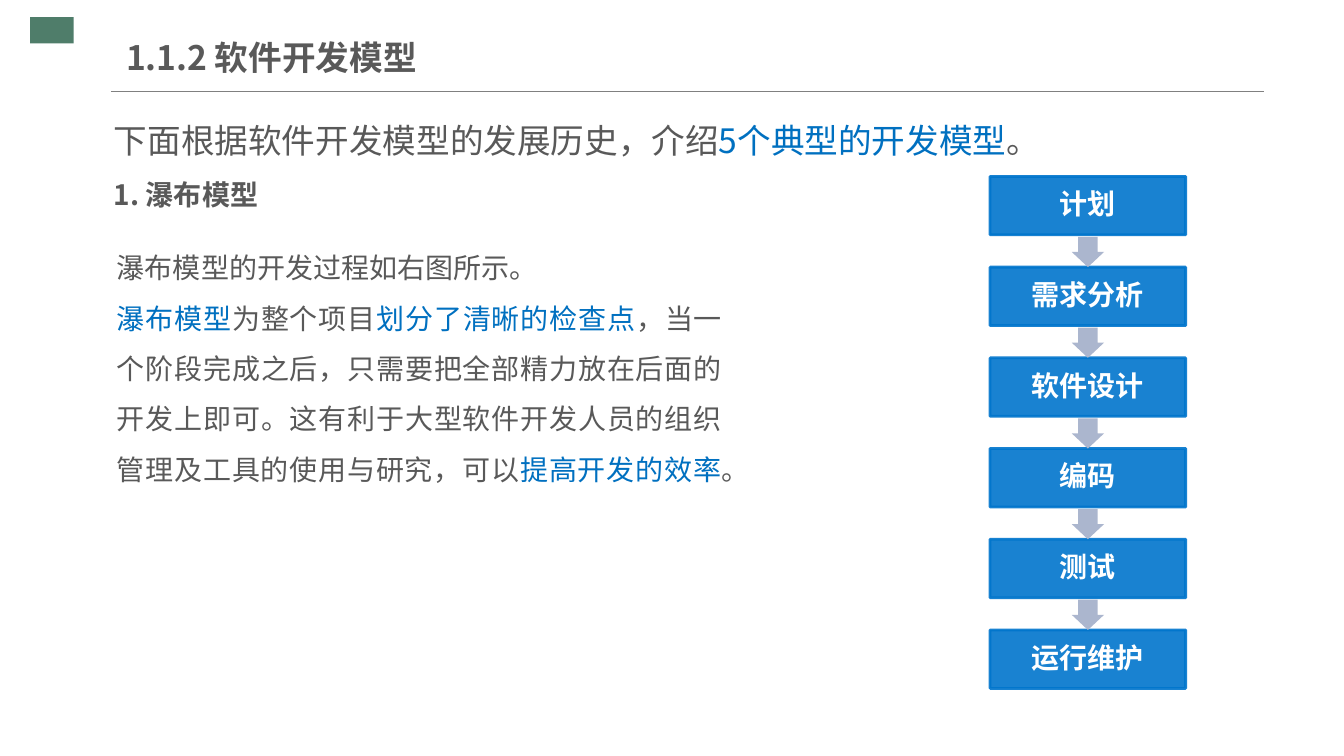
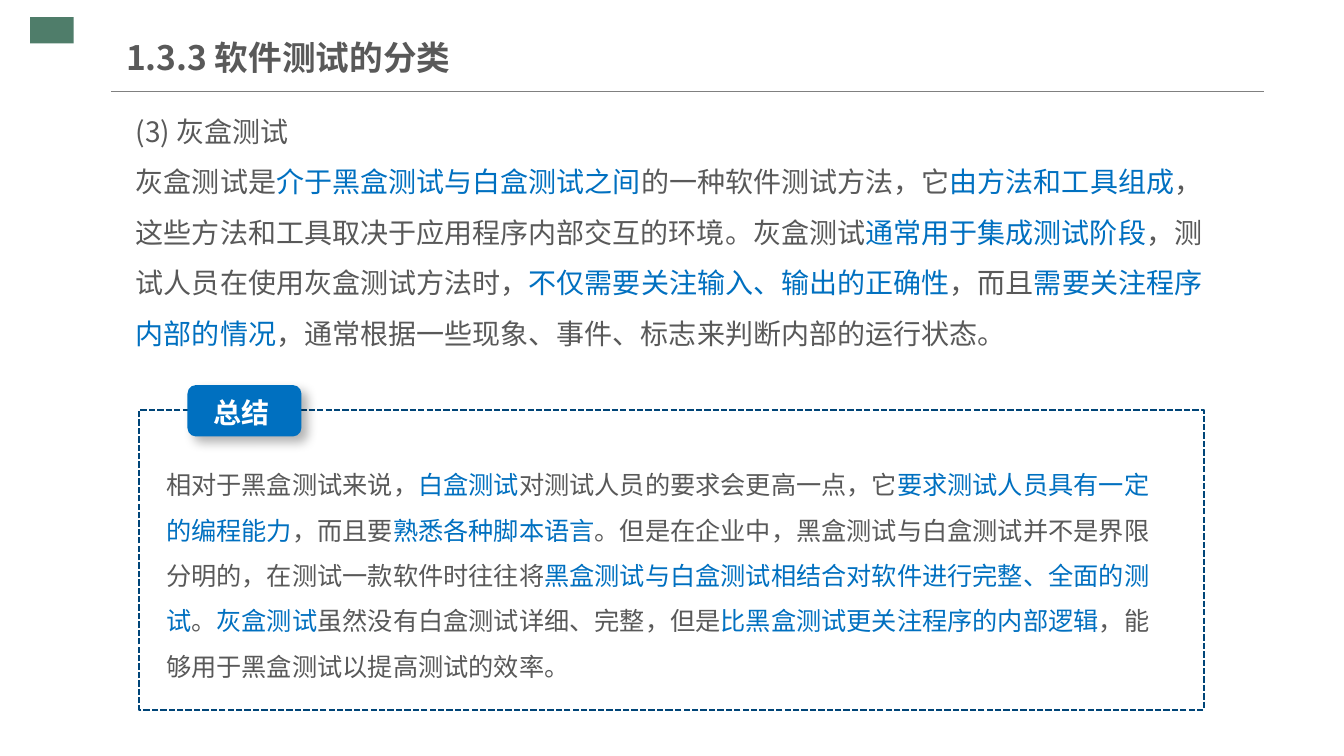
import pptx
import pptx.util
import pptx.dml.color
import pptx.enum.dml
import pptx.enum.shapes
import pptx.enum.text
import pptx.oxml
import pptx.oxml.ns
from dataclasses import dataclass
from lxml import etree

Inches = pptx.util.Inches
Pt = pptx.util.Pt
Shape = pptx.enum.shapes.MSO_SHAPE
Align = pptx.enum.text.PP_ALIGN
Anchor = pptx.enum.text.MSO_ANCHOR
qn = pptx.oxml.ns.qn


@dataclass(frozen=True)
class Theme:
    font: str = "Noto Sans CJK SC"
    text: str = "595959"
    accent: str = "0070C0"
    white: str = "FFFFFF"
    marker: str = "4F7D6A"
    rule: str = "808080"
    step: str = "0075CC"
    arrow: str = "ABB6CE"
    frame: str = "004578"
    heading: int = 24
    body: int = 20
    small: int = 18


THEME = Theme()
SLIDE_SIZE = (13.33, 7.5)

# Stretches between bars alternate between plain and highlighted text.
MODEL_TITLE = "1.1.2 软件开发模型"
MODEL_INTRO = "下面根据软件开发模型的发展历史，介绍|5个典型的开发模型|。"
MODEL_HEADING = "1. 瀑布模型"
MODEL_BODY = [
    "瀑布模型的开发过程如右图所示。",
    "|瀑布模型|为整个项目|划分了清晰的检查点|，当一个阶段完成之后，只需要把全部精力放在"
    "后面的开发上即可。这有利于大型软件开发人员的组织管理及工具的使用与研究，可以"
    "|提高开发的效率|。",
]
WATERFALL_STEPS = ["计划", "需求分析", "软件设计", "编码", "测试", "运行维护"]

TESTING_TITLE = "1.3.3 软件测试的分类"
TESTING_BODY = [
    "(3) 灰盒测试",
    "灰盒测试是|介于黑盒测试与白盒测试之间|的一种软件测试方法，它|由方法和工具组成|，"
    "这些方法和工具取决于应用程序内部交互的环境。灰盒测试|通常用于集成测试阶段|，"
    "测试人员在使用灰盒测试方法时，|不仅需要关注输入、输出的正确性|，而且"
    "|需要关注程序内部的情况|，通常根据一些现象、事件、标志来判断内部的运行状态。",
]
SUMMARY_LABEL = "总结"
SUMMARY = (
    "相对于黑盒测试来说，|白盒测试|对测试人员的要求会更高一点，它"
    "|要求测试人员具有一定的编程能力|，而且要|熟悉各种脚本语言|。但是在企业中，"
    "黑盒测试与白盒测试并不是界限分明的，在测试一款软件时往往将"
    "|黑盒测试与白盒测试相结合对软件进行完整、全面的测试|。|灰盒测试|虽然没有白盒测试"
    "详细、完整，但是|比黑盒测试更关注程序的内部逻辑|，能够用于黑盒测试以提高测试的效率。"
)


def rgb(color):
    return pptx.dml.color.RGBColor.from_string(color)


def inches(box):
    return [Inches(value) for value in box]


def write_paragraph(paragraph, text, size, color=THEME.text, bold=False,
                    align=Align.LEFT, spacing=1.5):
    paragraph.alignment = align
    paragraph.line_spacing = spacing
    for index, part in enumerate(text.split("|")):
        if not part:
            continue
        run = paragraph.add_run()
        run.text = part
        font = run.font
        font.name, font.size, font.bold = THEME.font, Pt(size), bold
        font.color.rgb = rgb(THEME.accent if index % 2 else color)
        east_asian = etree.SubElement(run._r.get_or_add_rPr(), qn("a:ea"))
        east_asian.set("typeface", THEME.font)


def set_frame(frame, insets, anchor=Anchor.TOP):
    """Insets are the horizontal and the vertical margin."""
    frame.word_wrap = True
    frame.auto_size = pptx.enum.text.MSO_AUTO_SIZE.NONE
    frame.vertical_anchor = anchor
    frame.margin_left = frame.margin_right = Inches(insets[0])
    frame.margin_top = frame.margin_bottom = Inches(insets[1])


def add_text(slide, box, paragraphs, insets=(0.1, 0.05)):
    """Each paragraph is a pair of its text and its formatting."""
    frame = slide.shapes.add_textbox(*inches(box)).text_frame
    set_frame(frame, insets)
    for index, (text, style) in enumerate(paragraphs):
        paragraph = frame.add_paragraph() if index else frame.paragraphs[0]
        write_paragraph(paragraph, text, **style)


def add_shape(slide, kind, box, fill=None, line=None, width=1):
    shape = slide.shapes.add_shape(kind, *inches(box))
    shape.shadow.inherit = False
    if fill:
        shape.fill.solid()
        shape.fill.fore_color.rgb = rgb(fill)
    else:
        shape.fill.background()
    if line:
        shape.line.color.rgb = rgb(line)
        shape.line.width = Pt(width)
    else:
        shape.line.fill.background()
    return shape


def set_opacity(shape, percent):
    for color in shape._element.spPr.iter(qn("a:srgbClr")):
        etree.SubElement(color, qn("a:alpha")).set("val", str(percent * 1000))


def add_soft_shadow(shape):
    effects = shape._element.spPr.find(qn("a:effectLst"))
    effects.append(pptx.oxml.parse_xml(
        f'<a:outerShdw {pptx.oxml.ns.nsdecls("a")} blurRad="{Pt(8)}" dist="{Pt(6)}" '
        'dir="2700000" algn="tl" rotWithShape="0">'
        '<a:srgbClr val="000000"><a:alpha val="30000"/></a:srgbClr></a:outerShdw>'))


def add_titled_slide(presentation, title_text):
    slide = presentation.slides.add_slide(presentation.slide_layouts[5])
    add_shape(slide, Shape.RECTANGLE, (0.3, 0.17, 0.43, 0.26), THEME.marker)
    rule = slide.shapes.add_connector(
        pptx.enum.shapes.MSO_CONNECTOR.STRAIGHT, *inches((1.1, 0.91, 12.54, 0.91)))
    rule.line.color.rgb = rgb(THEME.rule)
    rule.line.width = Pt(0.75)
    etree.SubElement(rule._element.spPr, qn("a:effectLst"))

    title = slide.shapes.title
    title.left, title.top, title.width, title.height = inches((1.25, 0.29, 4.26, 0.55))
    set_frame(title.text_frame, (0, 0.07), Anchor.MIDDLE)
    write_paragraph(title.text_frame.paragraphs[0], title_text, THEME.heading,
                    bold=True, spacing=1)
    return slide


def add_waterfall(slide, left=9.82, top=1.75, width=1.94, height=0.58, pitch=0.9):
    arrow_width, arrow_height = 0.32, 0.3
    for index, step in enumerate(WATERFALL_STEPS):
        step_top = top + index * pitch
        box = add_shape(slide, Shape.RECTANGLE, (left, step_top, width, height),
                        THEME.step, THEME.step, 2)
        set_opacity(box, 90)
        set_frame(box.text_frame, (0.21, 0.04), Anchor.MIDDLE)
        write_paragraph(box.text_frame.paragraphs[0], step, THEME.body, THEME.white,
                        bold=True, align=Align.CENTER, spacing=0.9)
        if index:
            arrow = add_shape(
                slide, Shape.DOWN_ARROW,
                (left + (width - arrow_width) / 2, step_top - arrow_height,
                 arrow_width, arrow_height), THEME.arrow)
            arrow.adjustments[0], arrow.adjustments[1] = 0.6, 0.5


def build_model_slide(presentation):
    slide = add_titled_slide(presentation, MODEL_TITLE)
    insets = (0.13, 0.07)
    body = dict(size=THEME.body, align=Align.JUSTIFY)
    add_text(slide, (1, 0.92, 11.42, 1.25), [
        (MODEL_INTRO, dict(size=THEME.heading, align=Align.JUSTIFY)),
        (MODEL_HEADING, dict(body, bold=True)),
    ], insets)
    add_waterfall(slide)
    add_text(slide, (1.03, 2.25, 6.26, 2.66), [(text, body) for text in MODEL_BODY], insets)


def build_testing_slide(presentation):
    slide = add_titled_slide(presentation, TESTING_TITLE)
    add_text(slide, (1.25, 0.92, 11, 2.69),
             [(text, dict(size=THEME.body)) for text in TESTING_BODY])
    frame = add_shape(slide, Shape.RECTANGLE, (1.38, 4.07, 10.56, 2.97),
                      line=THEME.frame, width=1.5)
    frame.line.dash_style = pptx.enum.dml.MSO_LINE.SQUARE_DOT
    badge = add_shape(slide, Shape.ROUNDED_RECTANGLE, (1.86, 3.82, 1.13, 0.51), THEME.accent)
    add_soft_shadow(badge)
    add_text(slide, (2.02, 3.71, 0.92, 0.6),
             [(SUMMARY_LABEL, dict(size=THEME.body, color=THEME.white, bold=True))])
    add_text(slide, (1.55, 4.46, 10.06, 2.37), [(SUMMARY, dict(size=THEME.small))])


def main():
    presentation = pptx.Presentation()
    presentation.slide_width, presentation.slide_height = inches(SLIDE_SIZE)
    build_model_slide(presentation)
    build_testing_slide(presentation)
    presentation.save("out.pptx")


if __name__ == "__main__":
    main()
